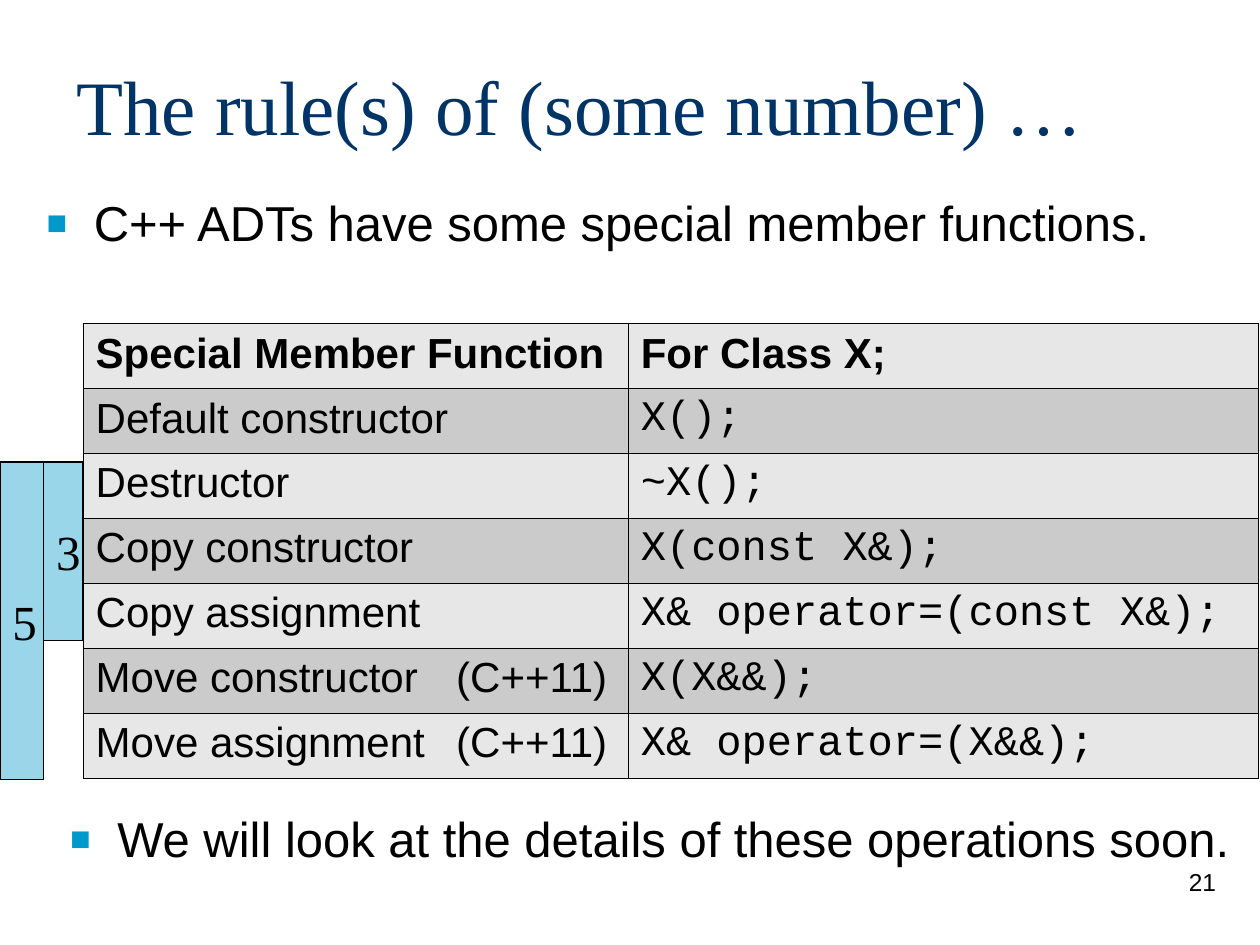
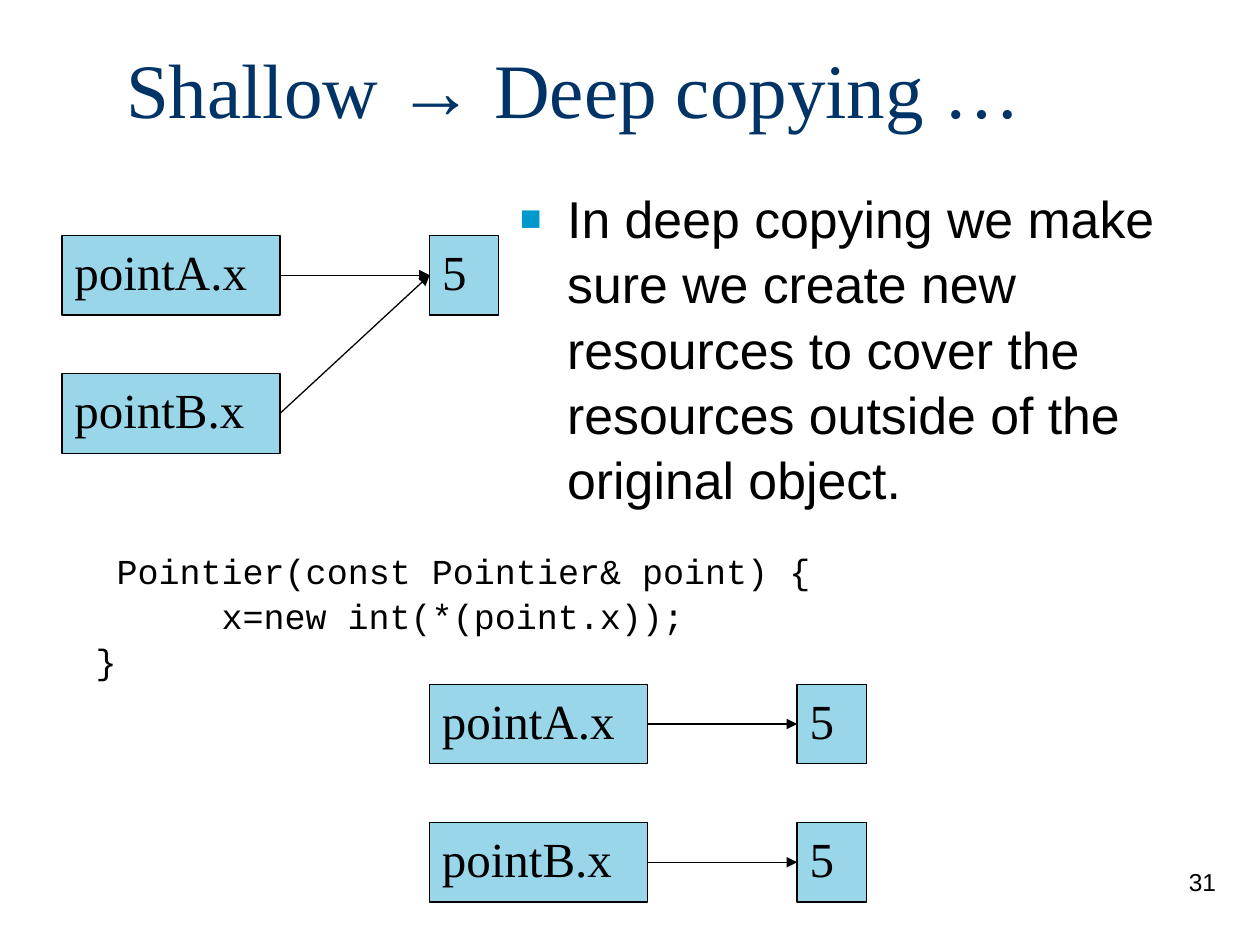
from typing import NamedTuple

from lxml import etree
from pptx import Presentation
from pptx.dml.color import RGBColor
from pptx.enum.shapes import MSO_CONNECTOR, MSO_SHAPE
from pptx.enum.text import MSO_ANCHOR, PP_ALIGN
from pptx.oxml.ns import qn
from pptx.util import Pt

RECTANGLE = MSO_SHAPE.RECTANGLE
STRAIGHT = MSO_CONNECTOR.STRAIGHT
TOP, MIDDLE = MSO_ANCHOR.TOP, MSO_ANCHOR.MIDDLE
LEFT, CENTER, RIGHT = PP_ALIGN.LEFT, PP_ALIGN.CENTER, PP_ALIGN.RIGHT
RIGHT_SIDE, LEFT_SIDE = 3, 1

NAVY = RGBColor(0x00, 0x33, 0x66)
AQUA = RGBColor(0x00, 0x99, 0xCC)
BLACK = RGBColor(0x00, 0x00, 0x00)
LIGHT_ROW = RGBColor(0xE7, 0xE7, 0xE7)
DARK_ROW = RGBColor(0xCB, 0xCB, 0xCB)

SANS, SERIF, MONO = "Arial", "Times New Roman", "Courier New"

NAME_WIDTH, VALUE_WIDTH, BOX_HEIGHT = 124.5, 39.5, 45.5
VALUE_OFFSET, ROW_PITCH = 210, 79


class Box(NamedTuple):
    left: float
    top: float
    width: float
    height: float

    def lengths(self) -> tuple:
        return tuple(Pt(v) for v in self)


class Style(NamedTuple):
    font: str
    size: float
    color: RGBColor = BLACK
    bold: bool = False


class Badge(NamedTuple):
    """A rule's number beside the table rows that it covers."""
    text: str
    box: Box


class Diagram(NamedTuple):
    """Two pointers, which share one value or have one each."""
    left: float
    top: float
    values: int


TITLE = Style(SERIF, 44, NAVY)
LABEL = Style(SERIF, 28)
CODE = Style(MONO, 20)
PAGE = Style(SANS, 14)

MEMBER_FUNCTIONS = [
    ("Special Member Function", "For Class X;"),
    ("Default constructor", "X();"),
    ("Destructor", "~X();"),
    ("Copy constructor", "X(const X&);"),
    ("Copy assignment", "X& operator=(const X&);"),
    ("Move constructor\t(C++11)", "X(X&&);"),
    ("Move assignment\t(C++11)", "X& operator=(X&&);"),
]
BADGES = [
    Badge("3", Box(25, 264, 22.5, 102)),
    Badge("5", Box(0, 264, 25, 181.5)),
]
DIAGRAMS = [Diagram(35.5, 134.5, 1), Diagram(245.5, 391, 2)]
COPY_CONSTRUCTOR = """ Pointier(const Pointier& point) {
\tx=new int(*(point.x));
}"""


def add_xml(parent, tag: str, **attributes: str):
    return etree.SubElement(parent, qn(tag), attributes)


def add_color(parent, color: RGBColor):
    return add_xml(parent, "a:srgbClr", val=str(color))


def add_tab_stop(p, position: float) -> None:
    tabs = add_xml(p._p.get_or_add_pPr(), "a:tabLst")
    add_xml(tabs, "a:tab", pos=str(Pt(position)), algn="l")


def add_bullet(p) -> None:
    pPr = p._p.get_or_add_pPr()
    pPr.set("marL", str(Pt(27)))
    pPr.set("indent", str(Pt(-27)))
    add_color(add_xml(pPr, "a:buClr"), AQUA)
    add_xml(pPr, "a:buSzPct", val="70000")
    add_xml(pPr, "a:buFont", typeface=SANS)
    add_xml(pPr, "a:buChar", char="■")


def style_run(r, style: Style) -> None:
    r.font.name = style.font
    r.font.size = Pt(style.size)
    r.font.bold = style.bold
    r.font.color.rgb = style.color


def set_text(tf, text: str, style: Style, align=LEFT, anchor=TOP) -> None:
    tf.text = text
    tf.word_wrap = True
    tf.vertical_anchor = anchor
    for p in tf.paragraphs:
        p.alignment = align
        for r in p.runs:
            style_run(r, style)


def add_text(s, box: Box, text: str, style: Style, align=LEFT, anchor=TOP):
    tf = s.shapes.add_textbox(*box.lengths()).text_frame
    set_text(tf, text, style, align, anchor)
    return tf


def add_slide(prs, number: int, left: float, top: float, title: str):
    s = prs.slides.add_slide(prs.slide_layouts[6])
    add_text(s, Box(552, 492, 150, 36), str(number), PAGE, RIGHT)
    before, arrow, after = title.partition("→")
    tf = add_text(s, Box(left, top, 612, 90), before, TITLE, anchor=MIDDLE)
    for text, font in ((arrow, SANS), (after, SERIF)):
        if text:
            r = tf.paragraphs[0].add_run()
            r.text = text
            style_run(r, TITLE._replace(font=font))
    return s


def add_bullet_text(s, box: Box, text: str, size: float) -> None:
    p = add_text(s, box, text, Style(SANS, size)).paragraphs[0]
    add_bullet(p)
    p.line_spacing = 1.05


def add_label(shapes, box: Box, text: str, align=LEFT, anchor=TOP):
    """Add a translucent aqua rectangle with a thin outline."""
    sp = shapes.add_shape(RECTANGLE, *box.lengths())
    sp.shadow.inherit = False
    sp.fill.solid()
    sp.fill.fore_color.rgb = AQUA
    color = sp._element.spPr.find(qn("a:solidFill")).find(qn("a:srgbClr"))
    add_xml(color, "a:alpha", val="40000")
    sp.line.color.rgb = BLACK
    sp.line.width = Pt(0.75)
    set_text(sp.text_frame, text, LABEL, align, anchor)
    return sp


def add_arrow(shapes, start, end) -> None:
    arrow = shapes.add_connector(STRAIGHT, 0, 0, 0, 0)
    arrow.begin_connect(start, RIGHT_SIDE)
    arrow.end_connect(end, LEFT_SIDE)
    arrow.line.color.rgb = BLACK
    arrow.line.width = Pt(0.75)
    add_xml(arrow.line._get_or_add_ln(), "a:tailEnd", type="triangle")
    add_xml(arrow._element.spPr, "a:effectLst")


def add_diagram(s, diagram: Diagram) -> None:
    shapes = s.shapes.add_group_shape().shapes

    def add_box(row: int, offset: float, width: float, text: str):
        top = diagram.top + row * ROW_PITCH
        return add_label(shapes, Box(diagram.left + offset, top, width, BOX_HEIGHT), text)

    pointers = [add_box(row, 0, NAME_WIDTH, name)
                for row, name in enumerate(("pointA.x", "pointB.x"))]
    values = [add_box(row, VALUE_OFFSET, VALUE_WIDTH, "5")
              for row in range(diagram.values)]
    for row, pointer in enumerate(pointers):
        add_arrow(shapes, pointer, values[min(row, len(values) - 1)])


def add_borders(cell) -> None:
    tcPr = cell._tc.get_or_add_tcPr()
    for side in "LRTB":
        ln = add_xml(tcPr, f"a:ln{side}", w=str(Pt(0.45)))
        add_color(add_xml(ln, "a:solidFill"), BLACK)


def add_function_table(s) -> None:
    box = Box(47.5, 185, 671.5, 260)
    table = s.shapes.add_table(len(MEMBER_FUNCTIONS), 2, *box.lengths()).table
    for column, width in zip(table.columns, (311.5, 360)):
        column.width = Pt(width)
    for i, texts in enumerate(MEMBER_FUNCTIONS):
        table.rows[i].height = Pt(box.height / len(MEMBER_FUNCTIONS))
        for j, text in enumerate(texts):
            cell = table.cell(i, j)
            add_borders(cell)
            cell.fill.solid()
            cell.fill.fore_color.rgb = DARK_ROW if i % 2 else LIGHT_ROW
            font = MONO if i and j else SANS
            set_text(cell.text_frame, text, Style(font, 24, bold=i == 0))
            if "\t" in text:
                add_tab_stop(cell.text_frame.paragraphs[0], 206)


def build_rules_slide(prs) -> None:
    s = add_slide(prs, 21, 36.5, 15, "The rule(s) of (some number) …")
    add_bullet_text(s, Box(19.5, 105, 685, 57.5),
                    "C++ ADTs have some special member functions.", 28)
    add_function_table(s)
    for badge in BADGES:
        add_label(s.shapes, badge.box, badge.text, CENTER, MIDDLE)
    add_bullet_text(s, Box(33, 457, 685, 67.5),
                    "We will look at the details of these operations soon.", 28)


def build_copying_slide(prs) -> None:
    s = add_slide(prs, 31, 65, 5, "Shallow → Deep copying …")
    add_bullet_text(s, Box(290, 101.5, 420, 198.5),
                    "In deep copying we make sure we create new resources to cover "
                    "the resources outside of the original object.", 29.6)
    tf = add_text(s, Box(47.5, 309, 436.5, 79), COPY_CONSTRUCTOR, CODE)
    for p in tf.paragraphs:
        add_tab_stop(p, 72)
        p.line_spacing = 1.07
    for diagram in DIAGRAMS:
        add_diagram(s, diagram)


def main() -> None:
    prs = Presentation()
    prs.slide_width, prs.slide_height = Pt(720), Pt(540)
    build_rules_slide(prs)
    build_copying_slide(prs)
    prs.save("out.pptx")


if __name__ == "__main__":
    main()
